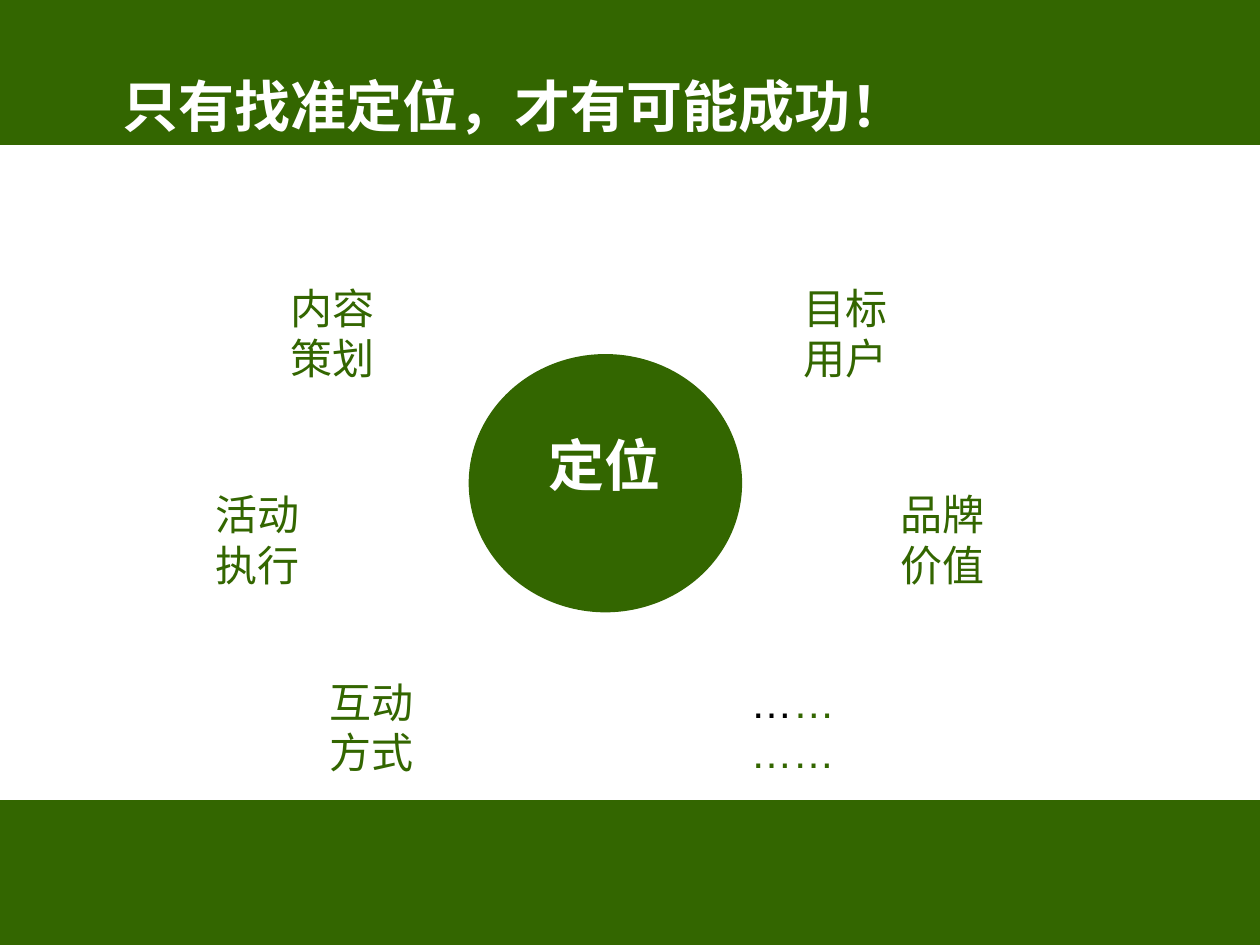
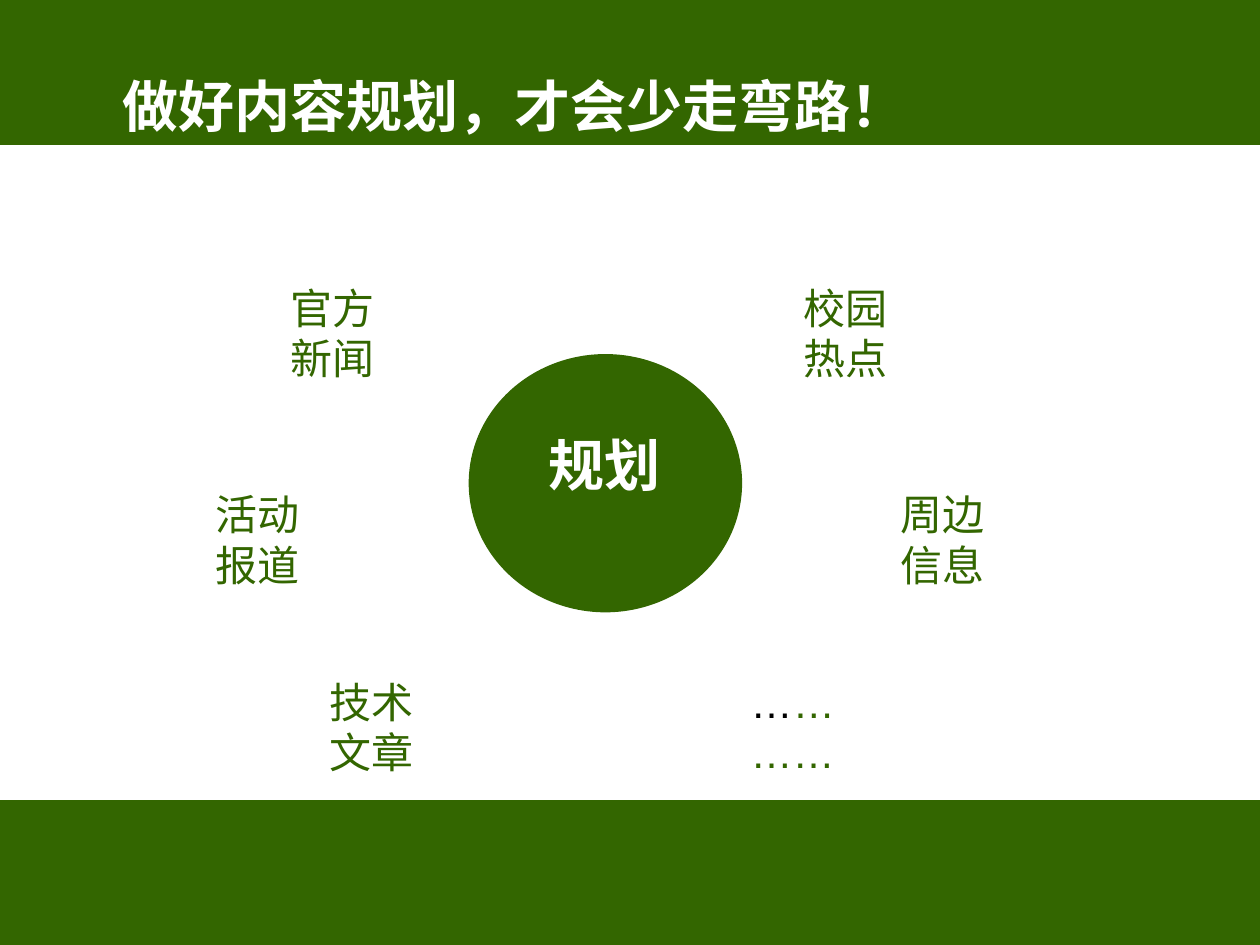
from pptx import Presentation
from pptx.dml.color import RGBColor
from pptx.enum.shapes import MSO_SHAPE as Shape
from pptx.enum.text import MSO_ANCHOR as Anchor, MSO_AUTO_SIZE as AutoSize, PP_ALIGN as Align
from pptx.util import Inches, Pt

# Content: title, hub word and the topics around it
SLIDES = [
    {
        "title": "只有找准定位，才有可能成功！",
        "hub": "定位",
        "topics": ["内容\n策划", "活动\n执行", "互动\n方式", "目标\n用户", "品牌\n价值"],
    },
    {
        "title": "做好内容规划，才会少走弯路！",
        "hub": "规划",
        "topics": ["官方\n新闻", "活动\n报道", "技术\n文章", "校园\n热点", "周边\n信息"],
    },
]
MORE_LINES = [["…", "…"], ["……"]]

# Shared style
GREEN = RGBColor(0x33, 0x66, 0x00)
WHITE = RGBColor(0xFF, 0xFF, 0xFF)
BLACK = RGBColor(0x00, 0x00, 0x00)
FONT = "Arial"
HEADING_SIZE, TOPIC_SIZE = 32, 24

# Shared places: left, top, width, height
TOP_BAND = (0, -0.02, 10, 1.17)
BOTTOM_BAND = (0, 6.35, 10, 1.18)
HUB = (3.72, 2.81, 2.17, 2.05)
HUB_LABEL = (4.2, 3.37, 1.2, 0.64)
TITLE = (0.87, 0.52, 7.11, 0.64)
ROW_TOPS = (2.19, 3.83, 5.32)
TOPIC_HEIGHT = 0.9
LEFT_COLUMN = ((2.21, 2.9), (1.61, 2.4), (2.52, 2.28))
RIGHT_COLUMN = ((6.28, 2.73), (7.05, 2.4), (5.86, 2.38))
*TOPIC_BOXES, MORE_BOX = [
    (left, top, width, TOPIC_HEIGHT)
    for column in (LEFT_COLUMN, RIGHT_COLUMN)
    for (left, width), top in zip(column, ROW_TOPS)
]


def inches(box):
    return [Inches(value) for value in box]


def add_filled_shape(slide, kind, box):
    shape = slide.shapes.add_shape(kind, *inches(box))
    shape.shadow.inherit = False
    shape.fill.solid()
    shape.fill.fore_color.rgb = GREEN
    shape.line.fill.background()


def format_text(shape, size, color, bold=False, align=Align.LEFT):
    frame = shape.text_frame
    frame.word_wrap = True
    frame.auto_size = AutoSize.NONE
    frame.vertical_anchor = Anchor.TOP
    for paragraph in frame.paragraphs:
        paragraph.alignment = align
        for run in paragraph.runs:
            run.font.name = FONT
            run.font.size = Pt(size)
            run.font.bold = bold
            run.font.color.rgb = color


def add_text(slide, text, box, *style):
    text_box = slide.shapes.add_textbox(*inches(box))
    text_box.text_frame.text = text
    format_text(text_box, *style)


def add_more(slide):
    text_box = slide.shapes.add_textbox(*inches(MORE_BOX))
    frame = text_box.text_frame
    frame.text = "\n".join("" for _ in MORE_LINES)
    for paragraph, pieces in zip(frame.paragraphs, MORE_LINES):
        for piece in pieces:
            paragraph.add_run().text = piece
    format_text(text_box, TOPIC_SIZE, GREEN)
    frame.paragraphs[0].runs[0].font.color.rgb = BLACK


def add_title(slide, text):
    title = slide.shapes.title
    title.left, title.top, title.width, title.height = inches(TITLE)
    title.text_frame.text = text
    format_text(title, HEADING_SIZE, WHITE, True)
    # Bring the title in front of the top band
    slide.shapes._spTree.append(title._element)


def build_slide(presentation, content):
    slide = presentation.slides.add_slide(presentation.slide_layouts[5])
    # Bands and hub
    add_filled_shape(slide, Shape.RECTANGLE, TOP_BAND)
    add_filled_shape(slide, Shape.RECTANGLE, BOTTOM_BAND)
    add_filled_shape(slide, Shape.OVAL, HUB)
    # Topics around the hub
    for topic, box in zip(content["topics"], TOPIC_BOXES):
        add_text(slide, topic, box, TOPIC_SIZE, GREEN)
    add_text(slide, content["hub"], HUB_LABEL, HEADING_SIZE, WHITE, True, Align.CENTER)
    add_more(slide)
    add_title(slide, content["title"])


def main():
    presentation = Presentation()
    presentation.slide_width, presentation.slide_height = Inches(10), Inches(7.5)
    for content in SLIDES:
        build_slide(presentation, content)
    presentation.save("out.pptx")


if __name__ == "__main__":
    main()
